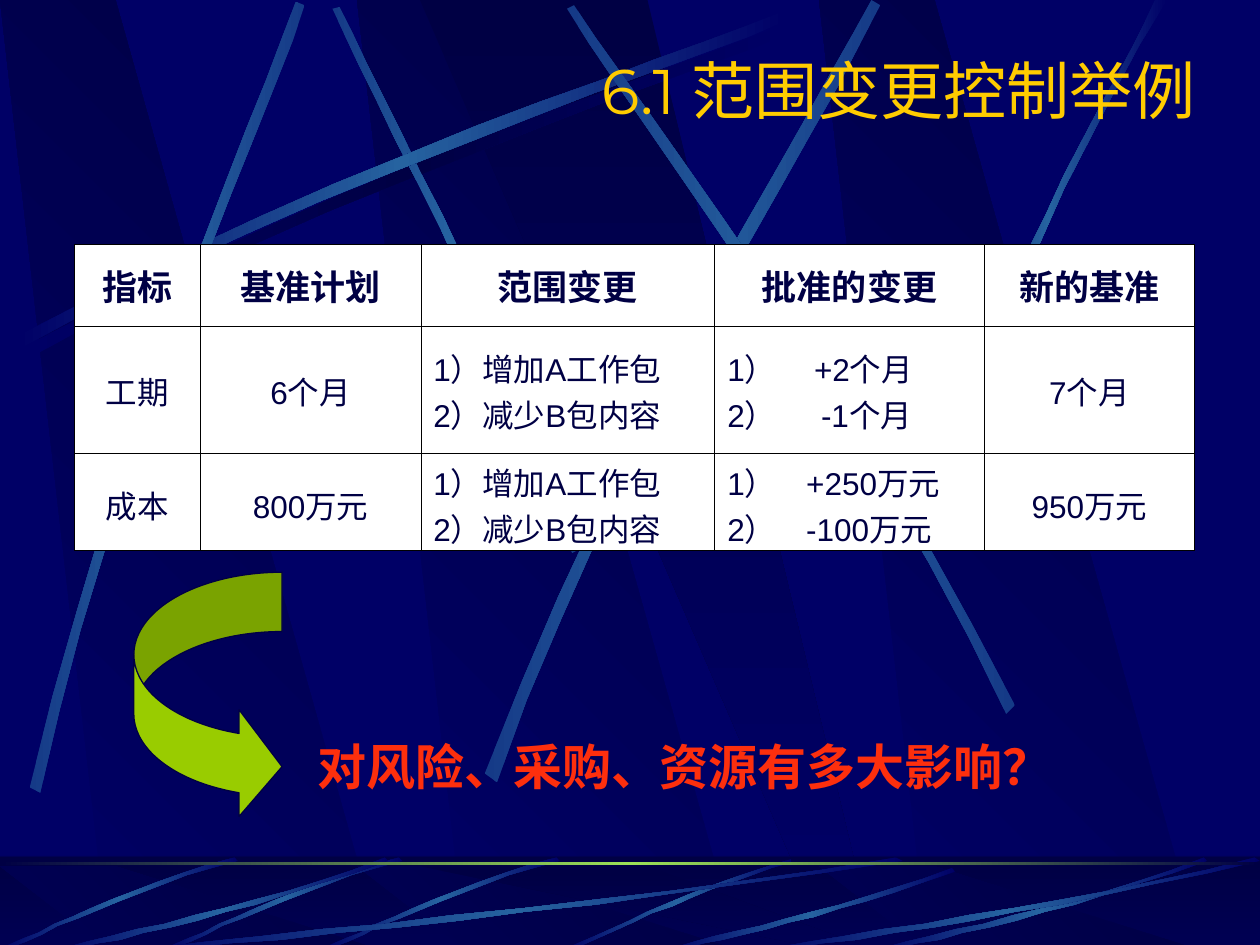
import pptx
import pptx.dml.color
import pptx.enum.shapes
import pptx.enum.text
import pptx.oxml.ns
import pptx.util
from lxml import etree

Pt = pptx.util.Pt
RGBColor = pptx.dml.color.RGBColor
MSO_SHAPE = pptx.enum.shapes.MSO_SHAPE
PP_ALIGN = pptx.enum.text.PP_ALIGN
MSO_ANCHOR = pptx.enum.text.MSO_ANCHOR
qn = pptx.oxml.ns.qn

BLUE = RGBColor(0x00, 0x00, 0x66)
NAVY = RGBColor(0x00, 0x00, 0x44)
STEEL = RGBColor(0x26, 0x63, 0xA0)
DIM_STEEL = RGBColor(0x15, 0x3A, 0x87)
LIME = RGBColor(0x9C, 0xE1, 0x57)
GREEN = RGBColor(0x99, 0xCC, 0x00)
GOLD = RGBColor(0xFF, 0xCC, 0x00)
RED = RGBColor(0xFD, 0x2F, 0x0D)
WHITE = RGBColor(0xFF, 0xFF, 0xFF)
BLACK = RGBColor(0x00, 0x00, 0x00)


def write(frame, text, *, size, font, color, bold=False, align=PP_ALIGN.LEFT, tab_stops=()):
    """Fill a text frame, one paragraph a line; tab_stops holds one stop for each line."""
    for number, line in enumerate(text.split("\n")):
        paragraph = frame.paragraphs[0] if number == 0 else frame.add_paragraph()
        paragraph.alignment = align
        run = paragraph.add_run()
        run.text = line
        run.font.size = Pt(size)
        run.font.name = font
        run.font.bold = bold
        run.font.color.rgb = color
        if tab_stops:
            tabs = etree.SubElement(paragraph._p.get_or_add_pPr(), qn("a:tabLst"))
            etree.SubElement(tabs, qn("a:tab"), pos=str(Pt(tab_stops[number])), algn="l")


def paint_gradient(shape, colors, angle=0):
    """Spread the colours evenly along a clockwise angle, without outline or shadow."""
    shape.shadow.inherit = False
    shape.line.fill.background()
    shape.fill.gradient()
    gradient = shape._element.spPr.find(qn("a:gradFill"))
    for child in list(gradient):
        gradient.remove(child)
    stops = etree.SubElement(gradient, qn("a:gsLst"))
    for number, color in enumerate(colors):
        position = 100000 * number // (len(colors) - 1)
        stop = etree.SubElement(stops, qn("a:gs"), pos=str(position))
        etree.SubElement(stop, qn("a:srgbClr"), val=str(color))
    etree.SubElement(gradient, qn("a:lin"), ang=str(angle * 60000), scaled="0")


presentation = pptx.Presentation()
presentation.slide_width = Pt(720)
presentation.slide_height = Pt(540)
slide = presentation.slides.add_slide(presentation.slide_layouts[6])
slide.background.fill.solid()
slide.background.fill.fore_color.rgb = BLUE
shapes = slide.shapes

# Dark bands on the wall, repeated flattened on the floor
bands = [([(62 + x, 1), (217.5 + x, 1), (65.5 + x, 0), (x, 0)], [BLUE, NAVY], 315)
         for x in (204, 0, 468)]
bands.append(([(240, 0), (474, 1), (499.5, 1), (369.5, 0)], [NAVY, BLUE], 90))
for top, height in ((0, 541), (495, 48)):
    if top:
        floor = shapes.add_shape(MSO_SHAPE.RECTANGLE, 0, Pt(489.5), Pt(720), Pt(54))
        paint_gradient(floor, [NAVY, BLUE], 90)
    for corners, colors, angle in bands:
        corners = [(x, top + y * height) for x, y in corners]
        builder = shapes.build_freeform(*corners[0], scale=Pt(1))
        builder.add_line_segments(corners[1:])
        paint_gradient(builder.convert_to_shape(), colors, angle)

veil = shapes.add_shape(MSO_SHAPE.RECTANGLE, 0, Pt(489), Pt(720), Pt(54))
veil.shadow.inherit = False
veil.line.fill.background()
veil.fill.solid()
veil.fill.fore_color.rgb = NAVY
veil_color = veil._element.spPr.find(qn("a:solidFill")).find(qn("a:srgbClr"))
etree.SubElement(veil_color, qn("a:alpha"), val="50000")

# Light rays: two Bezier edges of four points each
FADING = [BLUE, STEEL, BLUE]
STEADY = [DIM_STEEL, STEEL, DIM_STEEL]
long_ray = [(10, 192), (200, 90), (373, 37), (446, 7),
            (449, 12), (376, 44), (179, 103), (12, 199)]
rays = [
    ([(x + 4, y + 6) for x, y in long_ray], [BLUE, NAVY, BLUE]),
    ([(331, 314), (282, 168), (217, 55), (194, 4),
      (190, 5), (212, 57), (287, 186), (327, 316)], STEADY),
    (long_ray, FADING),
    ([(17, 450), (67, 240), (142, 76), (169, 1),
      (174, 3), (149, 78), (62, 265), (23, 453)], STEADY),
    ([(277, 442), (359, 230), (459, 73), (498, 0),
      (503, 3), (467, 78), (350, 256), (284, 447)], STEADY),
    ([(580, 403), (482, 211), (372, 68), (328, 3),
      (324, 5), (365, 73), (493, 234), (575, 408)], STEADY),
    ([(531, 283), (586, 125), (639, 48), (660, 0),
      (667, 0), (602, 104), (554, 232), (536, 286)], FADING),
    ([(451.5, 491), (386.5, 510.5), (343.5, 534), (322.5, 543),
      (326, 543.5), (353, 530.5), (411, 504), (452, 493)], FADING),
]
floor_ray = [(318, 489.5), (255.5, 507.5), (206.5, 533), (184.5, 542),
             (185, 543.5), (207.5, 535), (263, 506), (319.5, 492)]
for shift in (0, 90, 184):
    rays.append(([(x - shift, y) for x, y in floor_ray], FADING))
unit_sweep = [(1, 0.04), (0.57, 0.57), (0.24, 0.85), (0.01, 1),
              (0, 0.99), (0.17, 0.81), (0.62, 0.51), (0.99, 0)]
for left, top, width, height in ((72, 490, 444, 54), (30, 490, 192, 54),
                                 (379.5, 496, 166, 47.5), (498, 490, 192, 54),
                                 (432, 490, 288, 54)):
    rays.append(([(left + x * width, top + y * height) for x, y in unit_sweep], FADING))

STEPS = 12
for controls, colors in rays:
    outline = []
    for edge in (controls[:4], controls[4:]):
        for step in range(STEPS + 1):
            t = step / STEPS
            weights = ((1 - t) ** 3, 3 * t * (1 - t) ** 2, 3 * t ** 2 * (1 - t), t ** 3)
            outline.append([sum(w * point[axis] for w, point in zip(weights, edge))
                            for axis in (0, 1)])
    builder = shapes.build_freeform(*outline[0], scale=Pt(1))
    builder.add_line_segments(outline[1:])
    paint_gradient(builder.convert_to_shape(), colors)

horizon = shapes.add_shape(MSO_SHAPE.RECTANGLE, 0, Pt(492.5), Pt(720), Pt(1.8))
paint_gradient(horizon, [NAVY, LIME, NAVY])

title = shapes.add_textbox(Pt(78.5), Pt(26), Pt(612), Pt(50.4)).text_frame
title.word_wrap = True
title.vertical_anchor = MSO_ANCHOR.MIDDLE
write(title, "6.1 范围变更控制举例", size=36, font="Montserrat", color=GOLD,
      align=PP_ALIGN.RIGHT)

# Table of changes
work_packages = "1）增加A工作包\n2）减少B包内容"
rows = [
    ["指标", "基准计划", "范围变更", "批准的变更", "新的基准"],
    ["工期", "6个月", work_packages, "1）\t+2个月\n2）\t-1个月", "7个月"],
    ["成本", "800万元", work_packages, "1）\t+250万元\n2）\t-100万元", "950万元"],
]
column_widths = [72, 126, 168, 154, 120]
row_heights = [46.8, 72.7, 55.4]
row_margins = [(3.6, 3.6), (4.6, 3.6), (3, 0)]
amount_stops = [(), (49.5, 53.5), (45, 45)]
table = shapes.add_table(3, 5, Pt(42.5), Pt(139.7), Pt(sum(column_widths)),
                         Pt(sum(row_heights))).table
table.first_row = False
table.horz_banding = False
for column, width in zip(table.columns, column_widths):
    column.width = Pt(width)
for r, texts in enumerate(rows):
    table.rows[r].height = Pt(row_heights[r])
    for c, text in enumerate(texts):
        cell = table.cell(r, c)
        cell.vertical_anchor = MSO_ANCHOR.MIDDLE
        cell.margin_top, cell.margin_bottom = map(Pt, row_margins[r])
        write(cell.text_frame, text, size=20 if r == 0 else 18, font="Arial",
              color=NAVY, bold=r == 0,
              align=PP_ALIGN.LEFT if "\n" in text else PP_ALIGN.CENTER,
              tab_stops=amount_stops[r] if "\t" in text else ())
        properties = cell._tc.get_or_add_tcPr()
        for side in ("a:lnL", "a:lnR", "a:lnT", "a:lnB"):
            border = etree.SubElement(properties, qn(side), w=str(Pt(0.45)))
            border_fill = etree.SubElement(border, qn("a:solidFill"))
            etree.SubElement(border_fill, qn("a:srgbClr"), val=str(BLACK))
        cell.fill.solid()
        cell.fill.fore_color.rgb = WHITE

arrow = shapes.add_shape(MSO_SHAPE.CURVED_RIGHT_ARROW, Pt(76.5), Pt(327), Pt(84.7), Pt(141.6))
for number, adjustment in enumerate((0.4, 0.72, 0.29)):
    arrow.adjustments[number] = adjustment
arrow.shadow.inherit = False
arrow.fill.solid()
arrow.fill.fore_color.rgb = GREEN
arrow.line.color.rgb = NAVY
arrow.line.width = Pt(0.75)

question = shapes.add_textbox(Pt(174.3), Pt(417.6), Pt(433.5), Pt(41)).text_frame
question.word_wrap = False
write(question, "对风险、采购、资源有多大影响？", size=28, font="Cabin", color=RED, bold=True)

presentation.save("out.pptx")
